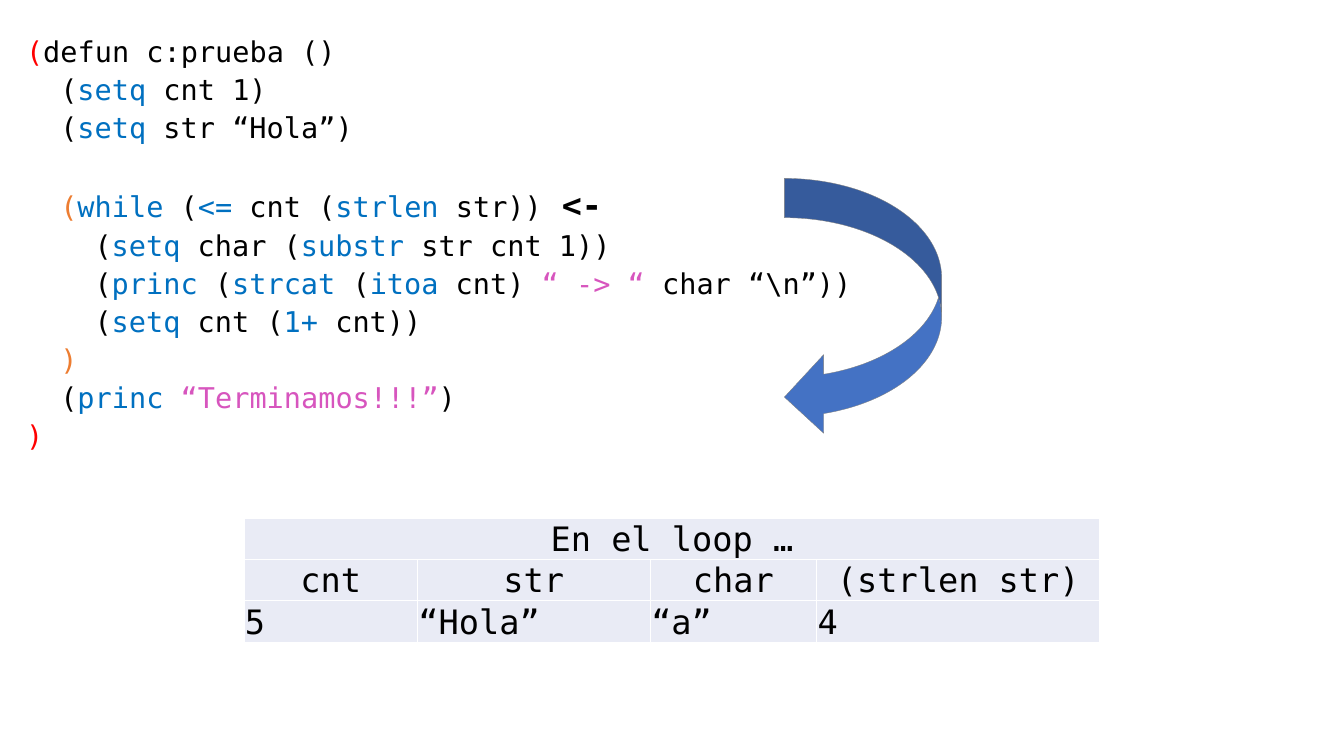
from dataclasses import dataclass
from typing import NamedTuple

from pptx import Presentation
from pptx.dml.color import RGBColor
from pptx.enum.shapes import MSO_SHAPE
from pptx.enum.text import MSO_ANCHOR, PP_ALIGN
from pptx.slide import Slide
from pptx.util import Inches, Pt

FONT = "DejaVu Sans Mono"
BLACK = RGBColor(0x00, 0x00, 0x00)
RED = RGBColor(0xFF, 0x00, 0x00)
BLUE = RGBColor(0x00, 0x70, 0xC0)
ORANGE = RGBColor(0xED, 0x7D, 0x31)
PINK = RGBColor(0xD7, 0x55, 0xBE)
CELL_FILL = RGBColor(0xE9, 0xEB, 0xF5)
ARROW_FILL = RGBColor(0x44, 0x72, 0xC4)
ARROW_LINE = RGBColor(0x80, 0x80, 0x80)

CODE_SIZE = 20.4
MARKER_SIZE = 23.8
LEVEL_INDENT = 0.34  # two monospaced characters
SPACE_BEFORE = 10
BLANK_LINE = 27.3


class Token(NamedTuple):
    text: str
    color: RGBColor = BLACK
    marker: bool = False


@dataclass
class CodeLine:
    level: int
    tokens: list[Token]
    blank_before: bool = False


def fn(name: str) -> Token:
    return Token(name, BLUE)


OPEN = Token("(")
SETQ = fn("setq ")

CODE = [
    CodeLine(0, [Token("(", RED), Token("defun c:prueba ()")]),
    CodeLine(1, [OPEN, SETQ, Token("cnt 1)")]),
    CodeLine(1, [OPEN, SETQ, Token("str “Hola”)")]),
    CodeLine(1, [Token("(", ORANGE), fn("while"), Token(" ("), fn("<= "),
                 Token("cnt ("), fn("strlen "), Token("str))"),
                 Token(" <-", marker=True)], blank_before=True),
    CodeLine(2, [OPEN, SETQ, Token("char ("), fn("substr "),
                 Token("str cnt 1))")]),
    CodeLine(2, [OPEN, fn("princ"), Token(" ("), fn("strcat"), Token(" ("),
                 fn("itoa "), Token("cnt) "), Token("“ -> “ ", PINK),
                 Token("char “\\n”))")]),
    CodeLine(2, [OPEN, SETQ, Token("cnt ("), fn("1+ "), Token("cnt))")]),
    CodeLine(1, [Token(")", ORANGE)]),
    CodeLine(1, [OPEN, fn("princ "), Token("“Terminamos!!!”", PINK),
                 Token(")")]),
    CodeLine(0, [Token(")", RED)]),
]

TABLE_TITLE = "En el loop …"
TABLE_ROWS = [
    [TABLE_TITLE, "", "", ""],
    ["cnt", "str", "char", "(strlen str)"],
    ["5", "“Hola”", "“a”", "4"],
]
COLUMN_WIDTHS = [1.72, 2.31, 1.65, 2.81]
ROW_HEIGHT = 0.39


def add_code(slide: Slide, lines: list[CodeLine]) -> None:
    box = slide.shapes.add_textbox(
        Inches(0.16), Inches(0.38), Inches(10.47), Inches(4.19))
    tf = box.text_frame
    tf.word_wrap = True
    for i, line in enumerate(lines):
        p = tf.add_paragraph() if i else tf.paragraphs[0]
        p.line_spacing = 0.7
        p.space_before = Pt(
            SPACE_BEFORE + (BLANK_LINE if line.blank_before else 0))
        p.font.name = FONT
        p.font.size = Pt(CODE_SIZE)
        pPr = p._p.get_or_add_pPr()
        pPr.set("marL", str(Inches(LEVEL_INDENT * line.level)))
        pPr.set("indent", "0")
        for token in line.tokens:
            r = p.add_run()
            r.text = token.text
            r.font.color.rgb = token.color
            if token.marker:
                r.font.size = Pt(MARKER_SIZE)
                r.font.bold = True


def add_loop_table(slide: Slide, rows: list[list[str]]) -> None:
    table = slide.shapes.add_table(
        len(rows), len(COLUMN_WIDTHS), Inches(2.42), Inches(5.14),
        Inches(sum(COLUMN_WIDTHS)), Inches(ROW_HEIGHT * len(rows))).table
    table.first_row = False
    table.horz_banding = False
    for column, width in zip(table.columns, COLUMN_WIDTHS):
        column.width = Inches(width)
    for i, texts in enumerate(rows):
        table.rows[i].height = Inches(ROW_HEIGHT)
        for j, text in enumerate(texts):
            cell = table.cell(i, j)
            cell.fill.solid()
            cell.fill.fore_color.rgb = CELL_FILL
            cell.vertical_anchor = MSO_ANCHOR.BOTTOM
            cell.margin_left = cell.margin_right = Inches(0.01)
            cell.margin_top = Inches(0.01)
            cell.margin_bottom = 0
            cell.text = text
            p = cell.text_frame.paragraphs[0]
            p.alignment = PP_ALIGN.LEFT if i == 2 else PP_ALIGN.CENTER
            p.font.name = FONT
            p.font.size = Pt(24)
            p.font.color.rgb = BLACK
    table.cell(0, 0).merge(table.cell(0, len(COLUMN_WIDTHS) - 1))


def add_loop_arrow(slide: Slide) -> None:
    sp = slide.shapes.add_shape(
        MSO_SHAPE.CURVED_LEFT_ARROW,
        Inches(7.78), Inches(1.77), Inches(1.56), Inches(2.56))
    sp.shadow.inherit = False
    sp.fill.solid()
    sp.fill.fore_color.rgb = ARROW_FILL
    sp.line.color.rgb = ARROW_LINE
    sp.line.width = Pt(0.25)


def main() -> None:
    prs = Presentation()
    prs.slide_width = Inches(13.33)
    prs.slide_height = Inches(7.5)
    slide = prs.slides.add_slide(prs.slide_layouts[6])

    # Program listing
    add_code(slide, CODE)
    # Variable values inside the loop
    add_loop_table(slide, TABLE_ROWS)
    # Arrow for the repetition
    add_loop_arrow(slide)

    prs.save("out.pptx")


if __name__ == "__main__":
    main()
